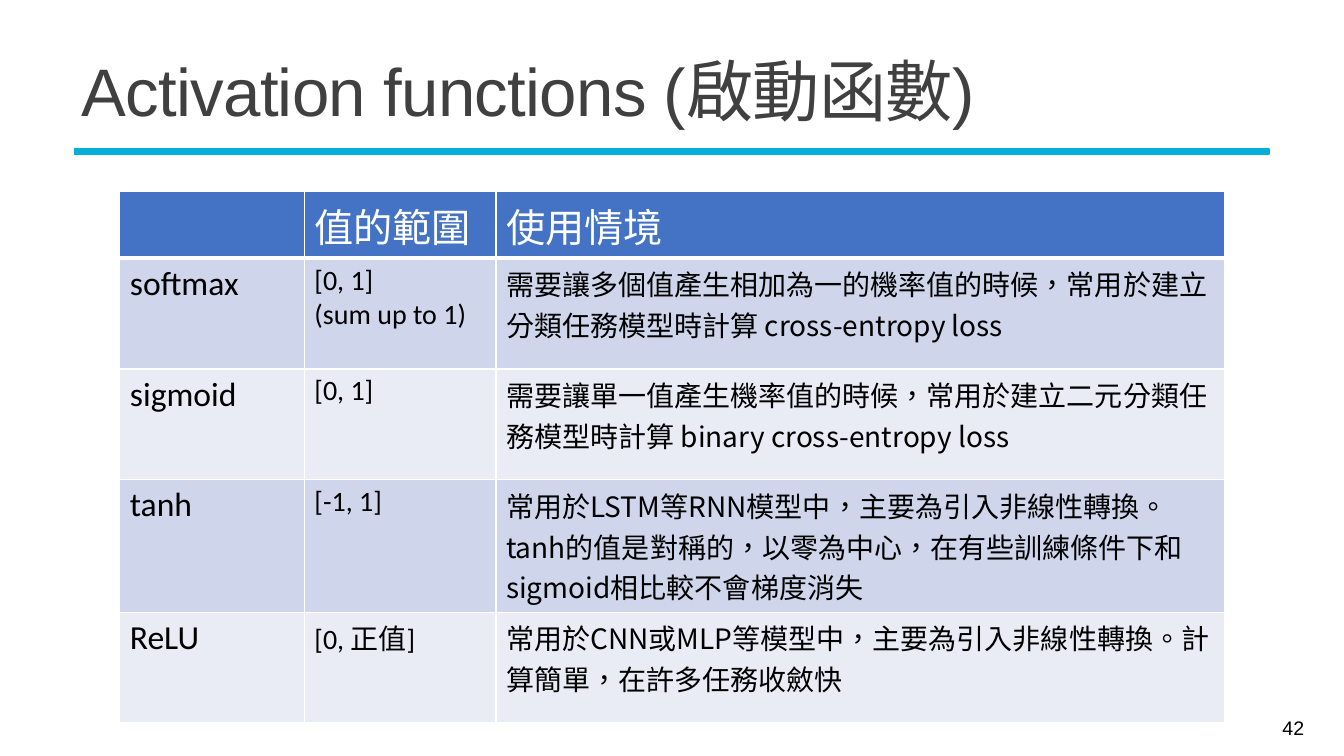
from dataclasses import dataclass

import pptx
import pptx.dml.color
import pptx.enum.shapes
import pptx.enum.text
import pptx.oxml
import pptx.oxml.ns
import pptx.util
from lxml import etree

Cm = pptx.util.Cm
Pt = pptx.util.Pt
RGBColor = pptx.dml.color.RGBColor
qn = pptx.oxml.ns.qn

WHITE = RGBColor(0xFF, 0xFF, 0xFF)
BLACK = RGBColor(0, 0, 0)
DARK_GREY = RGBColor(0x40, 0x40, 0x40)
CYAN = RGBColor(0x05, 0xAE, 0xD6)
HEADER_BLUE = RGBColor(0x44, 0x72, 0xC4)
BAND_DARK = RGBColor(0xCF, 0xD5, 0xEA)
BAND_LIGHT = RGBColor(0xE9, 0xEB, 0xF5)

CJK_FONT = "Noto Sans CJK TC"
COLUMN_WIDTHS = (4.65, 4.83, 18.36)
HEADER_HEIGHT = 1.68
HEADINGS = ("", "值的範圍", "使用情境")


@dataclass(frozen=True)
class Activation:
    name: str
    value_range: str
    usage: str
    height: float = 2.79


ACTIVATIONS = (
    Activation("softmax", "[0, 1]\n(sum up to 1)",
               "需要讓多個值產生相加為一的機率值的時候，常用於建立分類任務模型時計算 cross-entropy loss"),
    Activation("sigmoid", "[0, 1]",
               "需要讓單一值產生機率值的時候，常用於建立二元分類任務模型時計算 binary cross-entropy loss"),
    Activation("tanh", "[-1, 1]",
               "常用於LSTM等RNN模型中，主要為引入非線性轉換。"
               "tanh的值是對稱的，以零為中心，在有些訓練條件下和sigmoid相比較不會梯度消失",
               height=3.34),
    Activation("ReLU", "[0, 正值]",
               "常用於CNN或MLP等模型中，主要為引入非線性轉換。計算簡單，在許多任務收斂快"),
)


def write_text(frame, text: str, *, size: float, font: str, color: RGBColor = BLACK,
               align=None, line_spacing: float | None = None,
               letter_spacing: float = 0) -> None:
    """Fill the frame, one paragraph per line; CJK characters use CJK_FONT."""
    for index, line in enumerate(text.split("\n")):
        paragraph = frame.add_paragraph() if index else frame.paragraphs[0]
        paragraph.alignment = align
        paragraph.line_spacing = line_spacing
        run = paragraph.add_run()
        run.text = line
        run.font.size = Pt(size)
        run.font.color.rgb = color
        run.font.name = font
        properties = run.font._element
        properties.set("lang", "zh-TW")
        etree.SubElement(properties, qn("a:ea"), typeface=CJK_FONT)
        if letter_spacing:
            properties.set("spc", str(round(letter_spacing * 100)))


def add_text_box(slide, left: float, top: float, width: float, height: float,
                 text: str, **text_format) -> None:
    box = slide.shapes.add_textbox(Cm(left), Cm(top), Cm(width), Cm(height))
    box.text_frame.word_wrap = True
    box.text_frame.vertical_anchor = pptx.enum.text.MSO_ANCHOR.MIDDLE
    write_text(box.text_frame, text, **text_format)


def style_cell(cell, fill: RGBColor, top: float = 1, bottom: float = 1) -> None:
    """Set the fill and white borders; top and bottom are widths in points."""
    cell.fill.solid()
    cell.fill.fore_color.rgb = fill
    properties = cell._tc.get_or_add_tcPr()
    borders = (("L", 1), ("R", 1), ("T", top), ("B", bottom))
    for position, (side, width) in enumerate(borders):
        border = etree.Element(qn(f"a:ln{side}"), w=str(Pt(width)))
        solid = etree.SubElement(border, qn("a:solidFill"))
        etree.SubElement(solid, qn("a:srgbClr"), val=str(WHITE))
        properties.insert(position, border)


def add_title_rule(slide) -> None:
    rule = slide.shapes.add_shape(pptx.enum.shapes.MSO_SHAPE.RECTANGLE,
                                  Cm(1.88), Cm(3.76), Cm(30.1), Cm(0.13))
    rule.shadow.inherit = False
    rule.fill.solid()
    rule.fill.fore_color.rgb = CYAN
    rule.line.color.rgb = CYAN
    rule.line.width = Pt(1.25)


def add_activation_table(slide) -> None:
    row_heights = (HEADER_HEIGHT, *(activation.height for activation in ACTIVATIONS))
    table = slide.shapes.add_table(
        len(row_heights), len(COLUMN_WIDTHS), Cm(3.02), Cm(4.83),
        Cm(sum(COLUMN_WIDTHS)), Cm(sum(row_heights))).table
    for column, width in zip(table.columns, COLUMN_WIDTHS):
        column.width = Cm(width)
    for row, height in zip(table.rows, row_heights):
        row.height = Cm(height)

    for column, heading in enumerate(HEADINGS):
        cell = table.cell(0, column)
        style_cell(cell, HEADER_BLUE, bottom=3)
        if heading:
            write_text(cell.text_frame, heading, size=28, font=CJK_FONT, color=WHITE)

    for row, activation in enumerate(ACTIVATIONS, start=1):
        columns = ((activation.name, 24, "Calibri"),
                   (activation.value_range, 20, "Calibri"),
                   (activation.usage, 20, CJK_FONT))
        for column, (text, size, font) in enumerate(columns):
            cell = table.cell(row, column)
            style_cell(cell, BAND_DARK if row % 2 else BAND_LIGHT,
                       top=3 if row == 1 else 1)
            write_text(cell.text_frame, text, size=size, font=font)


def main() -> None:
    presentation = pptx.Presentation()
    presentation.slide_width = Cm(33.87)
    presentation.slide_height = Cm(19.05)
    slide = presentation.slides.add_slide(presentation.slide_layouts[6])
    add_title_rule(slide)
    add_text_box(slide, 1.8, 0.99, 30.33, 2.87, "Activation functions (啟動函數)",
                 size=48, font="Arial", color=DARK_GREY, line_spacing=0.85,
                 letter_spacing=-0.5)
    add_text_box(slide, 29.49, 17.83, 3.63, 1.02, "42", size=14, font="Arial",
                 align=pptx.enum.text.PP_ALIGN.RIGHT)
    add_activation_table(slide)
    presentation.save("out.pptx")


if __name__ == "__main__":
    main()
